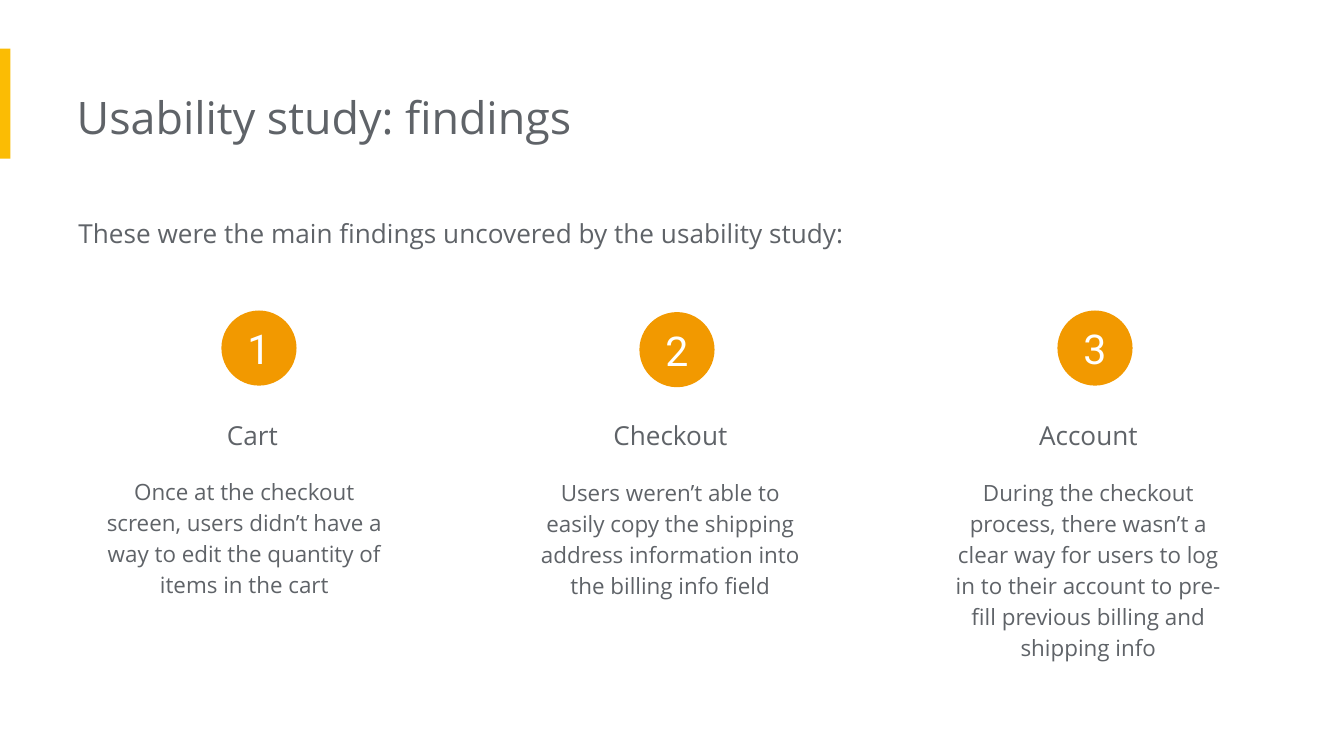
from pptx import Presentation
from pptx.dml.color import RGBColor
from pptx.enum.shapes import MSO_SHAPE as Shape
from pptx.enum.text import MSO_ANCHOR as Anchor, MSO_AUTO_SIZE as AutoSize, PP_ALIGN as Align
from pptx.oxml.ns import qn
from pptx.util import Cm, Pt

GREY, WHITE, YELLOW, ORANGE = "5F6368", "FFFFFF", "FBBC04", "F29900"
INSET = Cm(0.25)
TEXT_FRAME = dict(word_wrap=True, auto_size=AutoSize.NONE, vertical_anchor=Anchor.TOP,
                  margin_left=0, margin_top=INSET, margin_right=INSET, margin_bottom=INSET)
BADGE_FRAME = dict(word_wrap=True, vertical_anchor=Anchor.MIDDLE,
                   margin_left=0, margin_top=0, margin_right=0, margin_bottom=0)

# Heading, description, description height, badge drop, description shift (x, y), all in cm
FINDINGS = [
    ("Cart", "Once at the checkout screen, users didn’t have a way to edit "
     "the quantity of items in the cart", 2.79, 0, (-0.15, -0.03)),
    ("Checkout", "Users weren’t able to easily copy the shipping address "
     "information into the billing info field", 2.79, 0.03, (0, 0)),
    ("Account", "During the checkout process, there wasn’t a clear way for users to log in "
     "to their account to pre-fill previous billing and shipping info", 4.57, 0, (0, 0)),
]


def colour(hex_string):
    return RGBColor.from_string(hex_string)


def apply(target, values):
    for name, value in values.items():
        setattr(target, name, value)


def place(part, left, top, width, height):
    apply(part, dict(left=Cm(left), top=Cm(top), width=Cm(width), height=Cm(height)))


def write(part, text, size, align=Align.LEFT, spacing=1.0, font="Open Sans",
          ink=GREY, frame=TEXT_FRAME):
    apply(part.text_frame, frame)
    part.text_frame.text = text
    paragraph = part.text_frame.paragraphs[0]
    apply(paragraph, dict(alignment=align, line_spacing=spacing, space_before=Pt(0)))
    run_font = paragraph.runs[0].font
    apply(run_font, dict(size=Pt(size), name=font))
    run_font.color.rgb = colour(ink)


def add_solid(slide, kind, fill, *box):
    solid = slide.shapes.add_shape(kind, *map(Cm, box))
    solid.shadow.inherit = False
    solid.fill.solid()
    solid.fill.fore_color.rgb = colour(fill)
    solid.line.fill.background()
    return solid


def add_label(slide, text, size, spacing, *box):
    label = slide.shapes.add_textbox(*map(Cm, box))
    write(label, text, size, Align.CENTER, spacing)


def add_header(slide, left, top, width):
    # Accent bar at the slide edge
    add_solid(slide, Shape.RECTANGLE, YELLOW, 0, top, 0.2, 2.08)
    # Title
    title = slide.shapes.title
    place(title, left, top + 0.53, width, 1.55)
    write(title, "Usability study: findings", 24)
    # Introduction, without the bullet of the body placeholder
    intro = slide.placeholders[1]
    place(intro, left + 0.03, top + 2.85, width + 0.93, 1.8)
    write(intro, "These were the main findings uncovered by the usability study:", 14, spacing=1.15)
    properties = intro.text_frame.paragraphs[0]._p.get_or_add_pPr()
    properties.set("marL", "0")
    properties.set("indent", "0")
    properties.append(properties.makeelement(qn("a:buNone"), {}))


def add_finding(slide, number, finding, left, top, width):
    heading, description, height, drop, (shift_x, shift_y) = finding
    # Numbered badge
    diameter = 1.42
    badge = add_solid(slide, Shape.OVAL, ORANGE,
                      left + (width - diameter) / 2, top + drop, diameter, diameter)
    write(badge, str(number), 22, Align.CENTER, font="Roboto", ink=WHITE, frame=BADGE_FRAME)
    # Heading and description
    add_label(slide, heading, 14, 1.5, left, top + 1.52, width, 1.12)
    add_label(slide, description, 12, 1.15,
              left - 0.15 + shift_x, top + 2.87 + shift_y, width + 0.3, height)


def main():
    deck = Presentation()
    apply(deck, dict(slide_width=Cm(25.4), slide_height=Cm(14.29)))
    slide = deck.slides.add_slide(deck.slide_layouts[1])
    add_header(slide, 1.45, 0.92, 17.1)
    for index, finding in enumerate(FINDINGS):
        add_finding(slide, index + 1, finding, 2.29 + 7.9 * index, 5.87, 5.21)
    deck.save("out.pptx")


if __name__ == "__main__":
    main()
